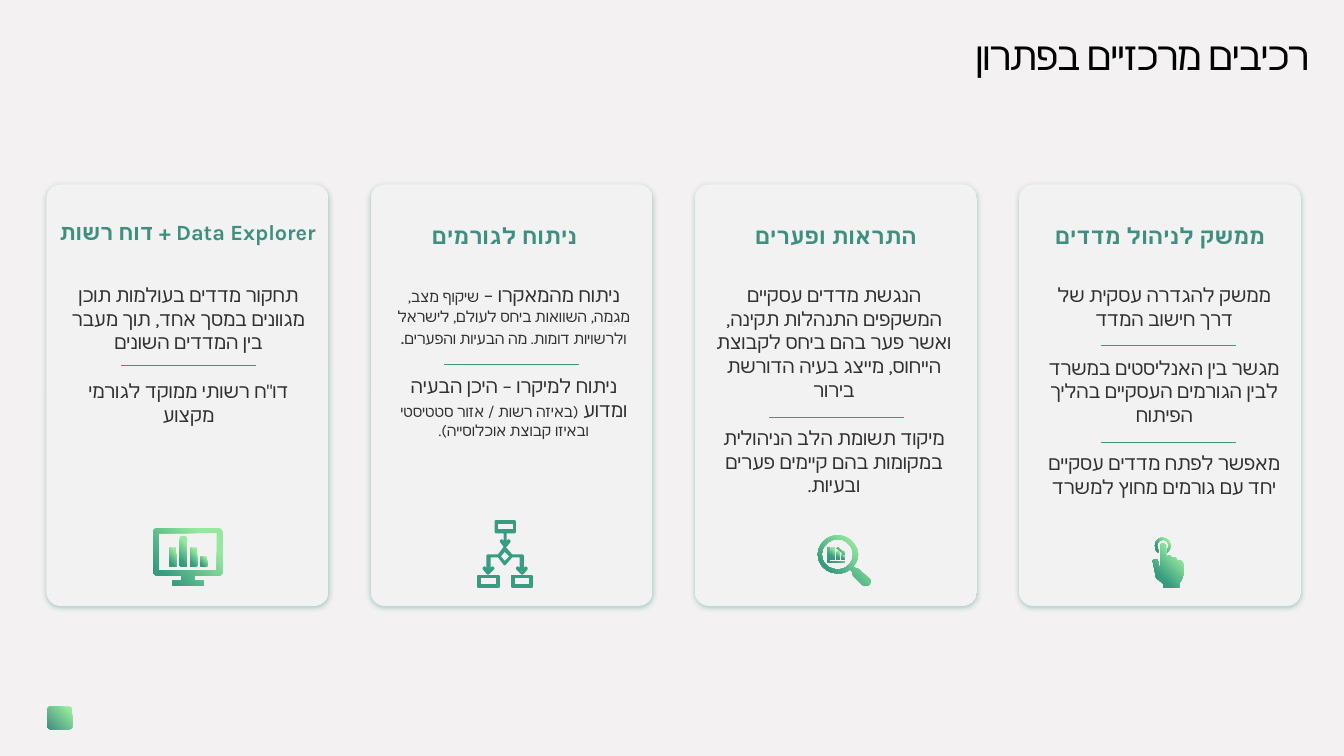
from copy import deepcopy
from dataclasses import dataclass
from itertools import islice

import pptx
import pptx.dml.color
import pptx.enum.shapes
import pptx.enum.text
import pptx.oxml
import pptx.oxml.ns
import pptx.util
from pptx.util import Cm, Pt

RGBColor = pptx.dml.color.RGBColor
MSO_SHAPE = pptx.enum.shapes.MSO_SHAPE
PP_ALIGN = pptx.enum.text.PP_ALIGN
qn = pptx.oxml.ns.qn

BACKGROUND = RGBColor(0xF3, 0xF1, 0xF2)
CARD_LIGHT = RGBColor(0xF2, 0xF2, 0xF2)
BLACK = RGBColor(0, 0, 0)
BODY_GREY = RGBColor(0x31, 0x31, 0x31)
LIME = RGBColor(0x95, 0xE8, 0x9D)
GREEN = RGBColor(0x38, 0x9D, 0x80)
TEAL = RGBColor(0x3E, 0x8F, 0x80)
FONT = "Karla"

CARD_LEFT, CARD_TOP, CARD_WIDTH, CARD_HEIGHT = 1.17, 4.65, 7.11, 10.62
CARD_PITCH = 8.17
BODY_TOP, BODY_WIDTH, RULE_WIDTH = 7.14, 6.2, 3.4
ICON_TOP = 12.7
ICON_UNIT = Cm(2.54) / 100

HAND = (
    "M138 48 L138 45 C136 42 137 39 139 37 C142 35 145 35 147 38 C149 40 149 43 147 45 "
    "L147 48 C151 45 152 40 150 37 C147 33 142 32 138 35 C135 37 134 42 136 46 L138 48",
    "M140 41 L140 67 L138 57 C138 55 136 54 135 55 C133 55 132 57 133 58 L136 73 L137 74 "
    "L143 79 L143 83 L159 83 L159 80 C159 76 163 76 163 69 L163 59 C163 57 161 56 160 56 "
    "C159 56 158 56 157 57 C157 54 156 53 154 53 L152 54 C152 52 150 51 148 51 "
    "C147 52 146 53 146 55 L146 41 C146 40 144 39 143 39 C141 39 140 40 140 41",
)
MAGNIFIER = (
    "M173 74 L164 66 C163 65 162 64 160 64 L157 62 C160 59 162 55 162 50 "
    "C162 40 153 31 142 31 C131 31 122 40 122 50 C122 61 131 69 142 69 "
    "C146 69 150 68 154 65 L157 68 C156 69 157 71 158 72 L166 80 C167 81 168 81 170 81 "
    "C171 81 172 81 173 80 C175 78 175 75 173 74 "
    "M142 65 C133 65 126 59 126 50 C126 42 133 35 142 35 C150 35 157 42 157 50 "
    "C157 59 150 65 142 65",
    "M134 57 L149 57 L149 58 L132 58 L132 43 L134 43",
    "M139 43 L135 43 L135 55 L139 55",
    "M144 47 L141 47 L141 55 L144 55",
    "M149 51 L146 51 L146 55 L149 55",
    "M149 47 L149 50 L146 50 L147 49 L141 44 L142 43 L148 48",
)
FLOWCHART = (
    "M107 82 L127 82 L127 71 L107 71 M109 72 L125 72 L125 80 L109 80",
    "M140 82 L160 82 L160 71 L140 71 M142 72 L158 72 L158 80 L142 80",
    "M140 52 L149 52 L149 66 L146 63 L145 64 L150 69 L151 69 L155 64 L154 63 L151 66 "
    "L151 51 L140 51 L133 43 L127 51 L116 51 L116 66 L113 63 L112 64 L116 69 L117 69 "
    "L122 64 L121 63 L118 66 L118 52 L127 52 L133 60 M133 46 L139 52 L133 58 L128 52",
    "M133 39 L130 36 L129 37 L133 42 L134 42 L138 37 L137 36 L134 39 L134 28 L143 28 "
    "L143 17 L124 17 L124 28 L133 28 M125 19 L142 19 L142 26 L125 26",
)
MONITOR = (
    "M169 66 L111 66 L111 29 L169 29 M171 24 L110 24 C108 24 106 26 106 27 L106 67 "
    "C106 69 108 71 110 71 L134 71 L134 76 L125 76 L125 81 L156 81 L156 76 L147 76 "
    "L147 71 L171 71 C173 71 175 69 175 67 L175 27 C175 26 173 24 171 24",
)
MONITOR_BAR_HEIGHTS = (19, 30, 19, 10)


@dataclass(frozen=True)
class Phrase:
    text: str
    size: float = 14


@dataclass(frozen=True)
class Card:
    """Offsets run from the card's left edge; rule heights from the slide's top."""
    heading: Phrase
    points: tuple[tuple[Phrase, ...], ...]
    body_offset: float
    rule_offset: float
    rule_tops: tuple[float, ...]
    icon: tuple[str, ...]
    icon_outline: float = 0
    icon_middle: float = 0.75
    bar_heights: tuple[int, ...] = ()
    heading_top: float = 5.44
    heading_shift: float = 0


CARDS_FROM_RIGHT = (
    Card(Phrase("ממשק לניהול מדדים", 16),
         ((Phrase("ממשק להגדרה עסקית של דרך חישוב המדד"),),
          (Phrase("מגשר בין האנליסטים במשרד לבין הגורמים העסקיים בהליך הפיתוח"),),
          (Phrase("מאפשר לפתח מדדים עסקיים יחד עם גורמים מחוץ למשרד"),)),
         0.56, 2.06, (8.71, 11.13), HAND),
    Card(Phrase("התראות ופערים", 16),
         ((Phrase("הנגשת מדדים עסקיים המשקפים התנהלות תקינה, ואשר פער בהם ביחס "
                  "לקבוצת הייחוס, מייצג בעיה הדורשת בירור"),),
          (Phrase("מיקוד תשומת הלב הניהולית במקומות בהם קיימים פערים ובעיות."),)),
         0.41, 1.88, (10.52,), MAGNIFIER),
    Card(Phrase("ניתוח לגורמים", 16),
         ((Phrase("ניתוח מהמאקרו – "),
           Phrase("שיקוף מצב, מגמה, השוואות ביחס לעולם, לישראל ולרשויות דומות. "
                  "מה הבעיות והפערים", 11),
           Phrase(".")),
          (Phrase("ניתוח למיקרו – היכן הבעיה ומדוע "),
           Phrase("(באיזה רשות / אזור סטטיסטי ובאיזו קבוצת אוכלוסייה).", 11))),
         0.51, 1.85, (9.17,), FLOWCHART, icon_outline=1.5, heading_shift=-0.18),
    Card(Phrase("Data Explorer + דוח רשות", 15.5),
         ((Phrase("תחקור מדדים בעולמות תוכן מגוונים במסך אחד, תוך מעבר בין המדדים השונים"),),
          (Phrase("דו\"ח רשותי ממוקד לגורמי מקצוע"),)),
         0.48, 1.88, (9.19,), MONITOR, icon_middle=0.83,
         bar_heights=MONITOR_BAR_HEIGHTS, heading_top=5.36),
)


def fill_gradient(shape, stops: tuple[tuple[float, RGBColor], ...], angle: float) -> None:
    shape.shadow.inherit = False
    shape.line.fill.background()
    shape.fill.gradient()
    shape.fill.gradient_angle = angle
    stop_list = shape.element.spPr.find(qn("a:gradFill")).find(qn("a:gsLst"))
    for _ in stops[2:]:
        stop_list.append(deepcopy(stop_list[-1]))
    for stop, (position, color) in zip(shape.fill.gradient_stops, stops):
        stop.position = position
        stop.color.rgb = color


def fill_icon(shape, card: Card) -> None:
    fill_gradient(shape, ((0.22, LIME), (card.icon_middle, GREEN), (1, TEAL)), 225)
    if card.icon_outline:
        shape.line.color.rgb = GREEN
        shape.line.width = Pt(card.icon_outline)


def add_text(slide, box: tuple[float, ...], points: tuple[tuple[Phrase, ...], ...],
             color: RGBColor, align, margin: bool = True, grow: bool = True):
    frame = slide.shapes.add_textbox(*map(Cm, box)).text_frame
    frame.word_wrap = True
    if grow:
        frame.auto_size = pptx.enum.text.MSO_AUTO_SIZE.SHAPE_TO_FIT_TEXT
    if not margin:
        frame.margin_left = frame.margin_right = frame.margin_top = frame.margin_bottom = 0
    for index, phrases in enumerate(points):
        paragraph = frame.add_paragraph() if index else frame.paragraphs[0]
        paragraph.alignment = align
        paragraph._p.get_or_add_pPr().set("rtl", "1")
        for phrase in phrases:
            run = paragraph.add_run()
            run.text = phrase.text
            run.font.name = FONT
            run.font.size = Pt(phrase.size)
            run.font.color.rgb = color
            complex_font = pptx.oxml.parse_xml(f'<a:cs {pptx.oxml.ns.nsdecls("a")}/>')
            complex_font.set("typeface", FONT)
            run.font._element.append(complex_font)
    return frame


def contours(path: str) -> list[list[tuple[float, float]]]:
    """Turn M, L and C commands into closed outlines of straight steps."""
    outlines = []
    tokens = iter(path.split())
    for token in tokens:
        command = token[0]
        values = [float(token[1:]), *map(float, islice(tokens, 5 if command == "C" else 1))]
        ends = list(zip(values[::2], values[1::2]))
        if command == "M":
            outlines.append(ends)
        elif command == "L":
            outlines[-1] += ends
        else:
            curve = [outlines[-1][-1], *ends]
            for t in (0.2, 0.4, 0.6, 0.8, 1):
                weights = ((1 - t) ** 3, 3 * t * (1 - t) ** 2, 3 * t * t * (1 - t), t ** 3)
                outlines[-1].append(tuple(
                    sum(w * point[axis] for w, point in zip(weights, curve)) for axis in (0, 1)))
    return [[(x * ICON_UNIT, y * ICON_UNIT) for x, y in outline] for outline in outlines]


def add_icon(slide, card: Card, left: float) -> None:
    for path in card.icon:
        first, *others = contours(path)
        builder = slide.shapes.build_freeform(*first[0], scale=1.0)
        builder.add_line_segments(first[1:], close=True)
        for outline in others:
            builder.move_to(*outline[0])
            builder.add_line_segments(outline[1:], close=True)
        fill_icon(builder.convert_to_shape(Cm(left), Cm(ICON_TOP)), card)
    for index, height in enumerate(card.bar_heights):
        bar = slide.shapes.add_shape(
            MSO_SHAPE.ROUNDED_RECTANGLE, Cm(left + 3.1 + 0.26 * index),
            int(Cm(ICON_TOP) + (62 - height) * ICON_UNIT), Cm(0.18), int(height * ICON_UNIT))
        fill_icon(bar, card)


def add_card(slide, card: Card, left: float) -> None:
    panel = slide.shapes.add_shape(MSO_SHAPE.ROUNDED_RECTANGLE, Cm(left), Cm(CARD_TOP),
                                   Cm(CARD_WIDTH), Cm(CARD_HEIGHT))
    panel.adjustments[0] = 0.05
    fill_gradient(panel, ((0, CARD_LIGHT), (1, BACKGROUND)), 45)
    panel.element.spPr.find(qn("a:effectLst")).append(pptx.oxml.parse_xml(
        f'<a:outerShdw {pptx.oxml.ns.nsdecls("a")} blurRad="{Pt(4)}" dist="{Pt(1)}" '
        f'dir="5400000" algn="t" rotWithShape="0"><a:srgbClr val="{TEAL}">'
        '<a:alpha val="40000"/></a:srgbClr></a:outerShdw>'))

    heading = add_text(slide, (left + card.heading_shift, card.heading_top, CARD_WIDTH, 0.94),
                       ((card.heading,),), TEAL, PP_ALIGN.CENTER).paragraphs[0]
    heading.line_spacing = 1.06
    heading.runs[0].font.bold = True

    body = add_text(slide, (left + card.body_offset, BODY_TOP, BODY_WIDTH, 5.4),
                    card.points, BODY_GREY, PP_ALIGN.CENTER, margin=False)
    for index, paragraph in enumerate(body.paragraphs):
        paragraph.space_before = Pt(6 if index else 0)
        paragraph.space_after = Pt(12)

    rule_left = left + card.rule_offset
    for top in card.rule_tops:
        rule = slide.shapes.add_connector(
            pptx.enum.shapes.MSO_CONNECTOR.STRAIGHT,
            Cm(rule_left), Cm(top), Cm(rule_left + RULE_WIDTH), Cm(top))
        rule.line.color.rgb = GREEN
        rule.line.width = Pt(0.25)
        rule._element.spPr.append(
            pptx.oxml.parse_xml(f'<a:effectLst {pptx.oxml.ns.nsdecls("a")}/>'))
    add_icon(slide, card, left)


def main() -> None:
    deck = pptx.Presentation()
    deck.slide_width, deck.slide_height = Cm(33.87), Cm(19.05)
    slide = deck.slides.add_slide(deck.slide_layouts[6])
    slide.background.fill.solid()
    slide.background.fill.fore_color.rgb = BACKGROUND

    emblem = slide.shapes.add_shape(MSO_SHAPE.ROUNDED_RECTANGLE,
                                    Cm(1.19), Cm(17.8), Cm(0.64), Cm(0.58))
    fill_gradient(emblem, ((0.14, LIME), (1, TEAL)), 225)

    title = add_text(slide, (2.18, 0.89, 31.06, 1.93),
                     ((Phrase("רכיבים מרכזיים בפתרון", 28),),), BLACK, PP_ALIGN.RIGHT,
                     grow=False).paragraphs[0]
    title.line_spacing = 0.8
    title.runs[0].font._element.set("spc", "-80")

    for column, card in enumerate(reversed(CARDS_FROM_RIGHT)):
        add_card(slide, card, CARD_LEFT + CARD_PITCH * column)
    deck.save("out.pptx")


if __name__ == "__main__":
    main()
